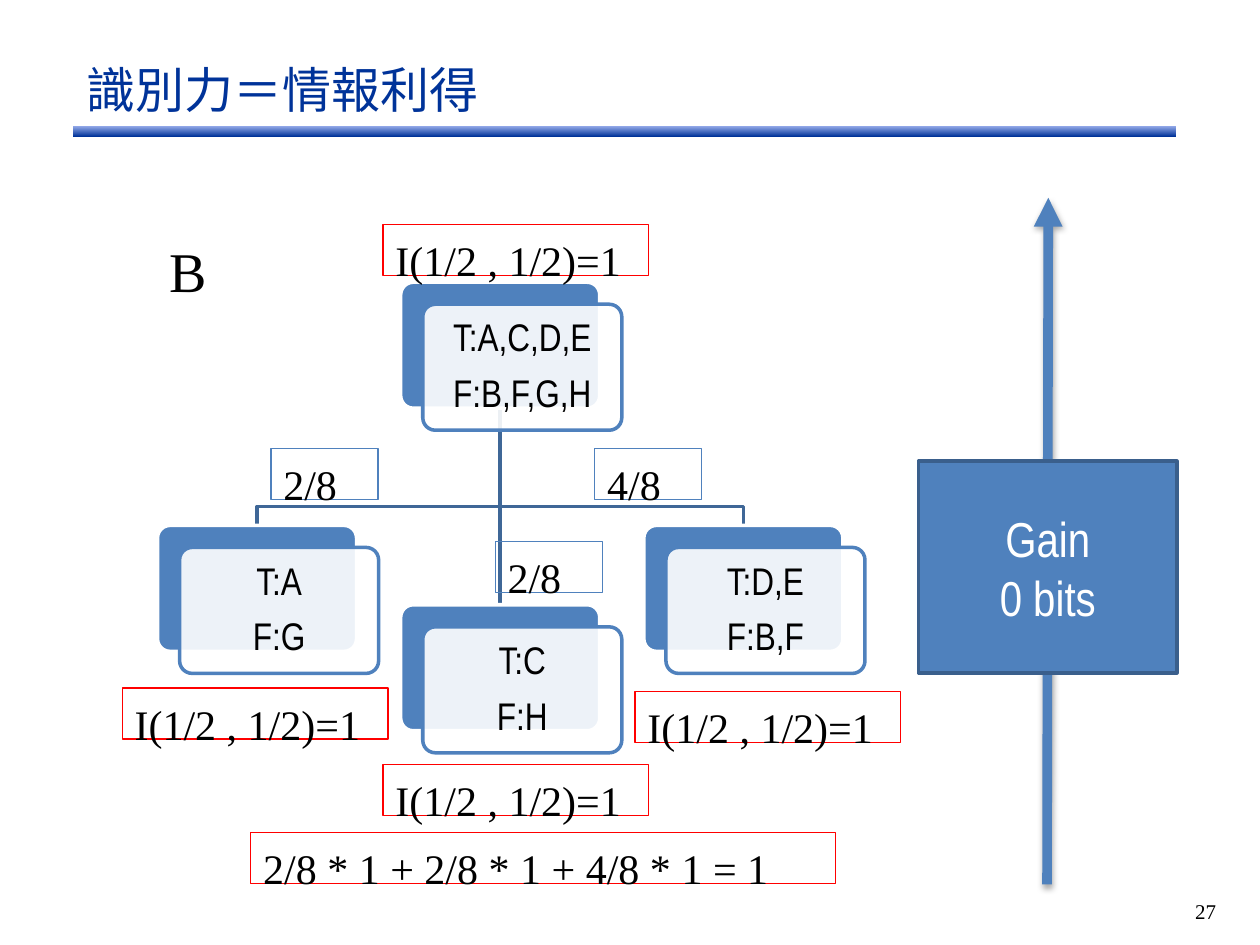
import pptx
import pptx.util
import pptx.dml.color
import pptx.enum.shapes
import pptx.enum.text
import pptx.oxml
import pptx.oxml.ns
from dataclasses import dataclass

COLUMNS, ROWS = 100, 75
SHAPE = pptx.enum.shapes.MSO_SHAPE
ALIGN = pptx.enum.text.PP_ALIGN
ANCHOR = pptx.enum.text.MSO_ANCHOR


@dataclass(frozen=True)
class Theme:
    navy: str = "003399"
    sky: str = "98ADEB"
    blue: str = "4F81BD"
    branch: str = "3F6797"
    edge: str = "3A5F8C"
    red: str = "FF0000"
    white: str = "FFFFFF"
    black: str = "000000"
    sans: str = "Arial Narrow"
    serif: str = "Times New Roman"
    heading: int = 28
    letter: int = 32
    formula: int = 24
    node: int = 22
    footer: int = 12


THEME = Theme()
CARD_WIDTH, CARD_HEIGHT = 15.8, 10
CARD_SHIFT = 1.75
ROOT = (31.8, 22.4, "T:A,C,D,E\nF:B,F,G,H")
CHILDREN = [
    (12.5, 41.7, "T:A\nF:G"),
    (31.8, 48, "T:C\nF:H"),
    (51.1, 41.7, "T:D,E\nF:B,F"),
]
WEIGHTS = [(21.5, 35.6, "2/8"), (47.2, 35.6, "4/8"), (39.3, 43, "2/8")]
ENTROPIES = [(30.4, 17.8), (30.4, 60.7), (9.7, 54.6), (50.4, 54.9)]


def grid(column, row):
    width, height = pptx.util.Inches(10), pptx.util.Inches(7.5)
    return round(width * column / COLUMNS), round(height * row / ROWS)


def rgb(color):
    return pptx.dml.color.RGBColor.from_string(color)


def write(shape, text, font=THEME.serif, size=THEME.formula, color=THEME.black,
          align=ALIGN.LEFT, anchor=ANCHOR.TOP, wrap=True, top=0.08,
          line_spacing=None, space_after=None):
    frame = shape.text_frame
    frame.word_wrap = wrap
    frame.vertical_anchor = anchor
    frame.margin_top = pptx.util.Inches(top)
    for index, line in enumerate(text.split("\n")):
        para = frame.add_paragraph() if index else frame.paragraphs[0]
        para.alignment = align
        if line_spacing:
            para.line_spacing = line_spacing
        if space_after:
            para.space_after = pptx.util.Pt(space_after)
        span = para.add_run()
        span.text = line
        span.font.name = font
        span.font.size = pptx.util.Pt(size)
        span.font.color.rgb = rgb(color)


def add_text(page, column, row, width, height, text, **style):
    box = page.shapes.add_textbox(*grid(column, row), *grid(width, height))
    write(box, text, **style)


def add_box(page, column, row, width, height, fill=None, line=None,
            weight=0.75, kind=SHAPE.RECTANGLE):
    box = page.shapes.add_shape(kind, *grid(column, row), *grid(width, height))
    box.shadow.inherit = False
    if fill:
        box.fill.solid()
        box.fill.fore_color.rgb = rgb(fill)
    else:
        box.fill.background()
    if line:
        box.line.color.rgb = rgb(line)
        box.line.width = pptx.util.Pt(weight)
    else:
        box.line.fill.background()
    return box


def add_formula(page, column, row, width, text, fill=None, line=THEME.red):
    write(add_box(page, column, row, width, 4.05, fill, line), text)


def add_rule(page):
    rule = add_box(page, 5.8, 10, 87.5, 0.85)
    rule.fill.gradient()
    rule.fill.gradient_angle = 270
    for stop, color, position in zip(
            rule.fill.gradient_stops, (THEME.sky, THEME.navy), (0, 1)):
        stop.color.rgb = rgb(color)
        stop.position = position


def add_branch(page, points):
    start, *rest = [grid(*point) for point in points]
    builder = page.shapes.build_freeform(*start)
    builder.add_line_segments(rest, close=False)
    branch = builder.convert_to_shape()
    branch.shadow.inherit = False
    branch.fill.background()
    branch.line.color.rgb = rgb(THEME.branch)
    branch.line.width = pptx.util.Pt(2)


def connect(page, child):
    middle = ROOT[0] + CARD_WIDTH / 2
    target, top = child[0] + CARD_WIDTH / 2, child[1]
    points = [(middle, ROOT[1] + CARD_HEIGHT), (target, top)]
    if target != middle:
        points[1:1] = [(middle, 40.2), (target, 40.2)]
    add_branch(page, points)


def add_node(page, column, row, text):
    size = (CARD_WIDTH, CARD_HEIGHT)
    back = add_box(page, column, row, *size, THEME.blue, THEME.white, 2,
                   SHAPE.ROUNDED_RECTANGLE)
    front = add_box(page, column + CARD_SHIFT, row + CARD_SHIFT, *size,
                    THEME.white, THEME.blue, 2, SHAPE.ROUNDED_RECTANGLE)
    for card in (back, front):
        card.adjustments[0] = 0.1
    color = front.fill._xPr.find(".//" + pptx.oxml.ns.qn("a:srgbClr"))
    alpha = pptx.oxml.parse_xml(
        f'<a:alpha {pptx.oxml.ns.nsdecls("a")} val="90000"/>')
    color.append(alpha)
    write(front, text, font=THEME.sans, size=THEME.node, align=ALIGN.CENTER,
          anchor=ANCHOR.MIDDLE, top=0.05, line_spacing=0.9, space_after=8)


def add_arrow(page, start, end):
    arrow = page.shapes.add_connector(
        pptx.enum.shapes.MSO_CONNECTOR.STRAIGHT, *grid(*start), *grid(*end))
    arrow.line.color.rgb = rgb(THEME.blue)
    arrow.line.width = pptx.util.Pt(5.5)
    names = pptx.oxml.ns.nsdecls("a")
    head = pptx.oxml.parse_xml(f'<a:tailEnd {names} type="triangle"/>')
    arrow.line._get_or_add_ln().append(head)
    blur, distance = pptx.util.Pt(3.1), pptx.util.Pt(1.8)
    shadow = pptx.oxml.parse_xml(
        f'<a:effectLst {names}><a:outerShdw blurRad="{blur}" dist="{distance}" '
        f'dir="5400000" rotWithShape="0"><a:srgbClr val="{THEME.black}">'
        '<a:alpha val="35000"/></a:srgbClr></a:outerShdw></a:effectLst>')
    arrow._element.spPr.append(shadow)


def add_gain(page):
    add_arrow(page, (83.1, 70.2), (83.2, 15.7))
    gain = add_box(page, 72.9, 36.6, 20.5, 16.8, THEME.blue, THEME.edge, 2)
    write(gain, "Gain\n0 bits", font=THEME.sans, size=THEME.heading,
          color=THEME.white, align=ALIGN.CENTER, anchor=ANCHOR.MIDDLE, top=0.05)


def main():
    deck = pptx.Presentation()
    deck.slide_width, deck.slide_height = grid(COLUMNS, ROWS)
    page = deck.slides.add_slide(deck.slide_layouts[6])
    add_rule(page)
    add_text(page, 91.7, 70.8, 5.8, 3.3, "27", size=THEME.footer,
             align=ALIGN.RIGHT, top=0.05)
    add_text(page, 5.9, 5.2, 87.5, 4.7, "識別力＝情報利得", font=THEME.sans,
             size=THEME.heading, color=THEME.navy, anchor=ANCHOR.BOTTOM, top=0.05)
    for child in CHILDREN:
        connect(page, child)
    for node in [ROOT, *CHILDREN]:
        add_node(page, *node)
    for column, row, text in WEIGHTS:
        add_formula(page, column, row, 8.5, text, line=THEME.blue)
    for column, row in ENTROPIES:
        add_formula(page, column, row, 21.1, "I(1/2 , 1/2)=1", THEME.white)
    add_formula(page, 19.9, 66.1, 46.4, "2/8 * 1 + 2/8 * 1 + 4/8 * 1 = 1", THEME.white)
    add_gain(page)
    add_text(page, 12.5, 17.8, 5.1, 6.4, "B", size=THEME.letter, wrap=False, top=0.1)
    deck.save("out.pptx")


if __name__ == "__main__":
    main()
